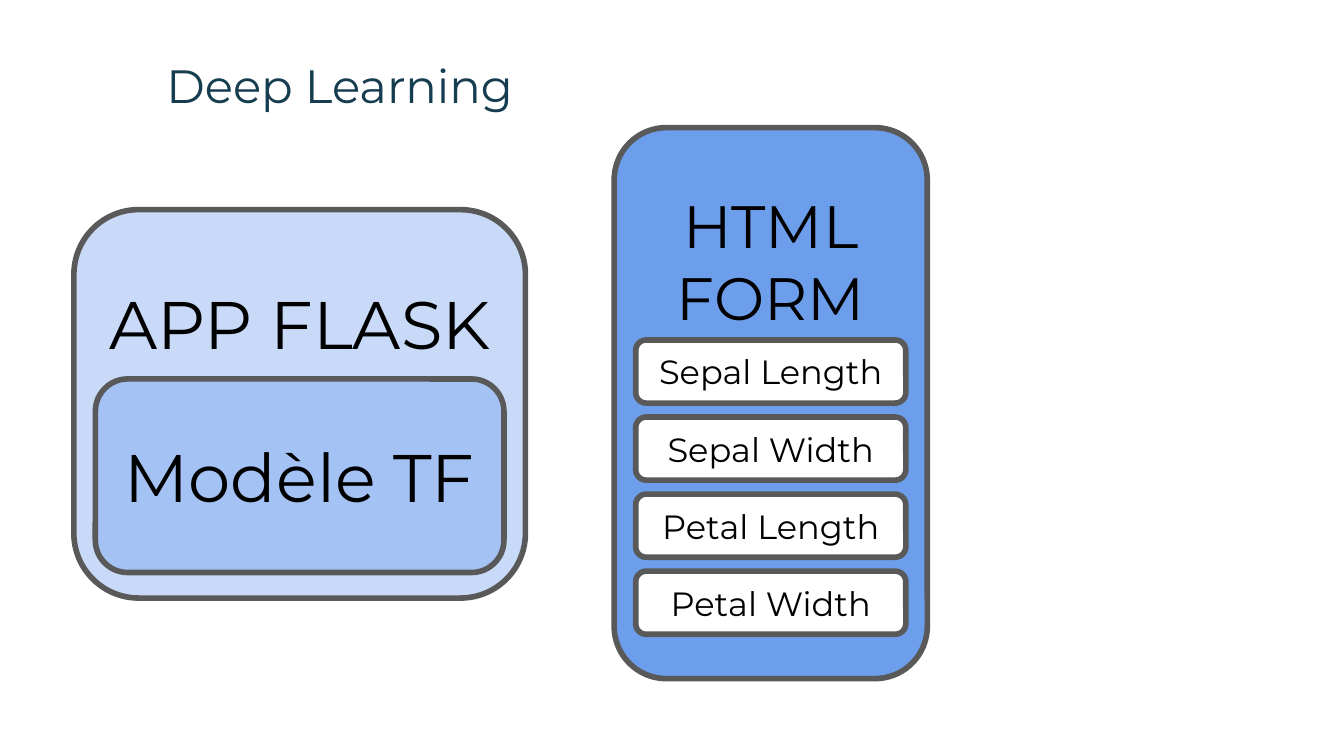
import pptx
import pptx.dml.color
import pptx.enum.shapes
import pptx.enum.text
import pptx.util
from pptx.util import Inches

RGBColor = pptx.dml.color.RGBColor
ALIGN = pptx.enum.text.PP_ALIGN
ANCHOR = pptx.enum.text.MSO_ANCHOR

NAVY = RGBColor(0x15, 0x3C, 0x4F)
BLACK = RGBColor(0x00, 0x00, 0x00)
WHITE = RGBColor(0xFF, 0xFF, 0xFF)
GREY = RGBColor(0x59, 0x59, 0x59)
PALE_BLUE = RGBColor(0xC9, 0xDA, 0xF8)
LIGHT_BLUE = RGBColor(0xA4, 0xC2, 0xF4)
BLUE = RGBColor(0x6D, 0x9E, 0xEB)

SLIDE_WIDTH = 10
SLIDE_HEIGHT = SLIDE_WIDTH * 9 / 16

FIELDS = ["Sepal Length", "Sepal Width", "Petal Length", "Petal Width"]
FIRST_FIELD_TOP, LAST_FIELD_TOP = 2.53, 4.25


def write_text(tf, text, *, font, size, color=BLACK, align=ALIGN.CENTER,
               anchor=ANCHOR.MIDDLE, top_inset=0.1):
    """Fill a text frame, one paragraph per line of text."""
    tf.word_wrap = True
    tf.vertical_anchor = anchor
    tf.margin_left = tf.margin_right = tf.margin_bottom = Inches(0.1)
    tf.margin_top = Inches(top_inset)
    for i, line in enumerate(text.split("\n")):
        p = tf.paragraphs[0] if i == 0 else tf.add_paragraph()
        p.alignment = align
        r = p.add_run()
        r.text = line
        r.font.name = font
        r.font.size = pptx.util.Pt(size)
        r.font.color.rgb = color


class Diagram:
    font = "Montserrat"
    line_color = GREY
    line_width = pptx.util.Pt(3)
    corner = 0.167

    def __init__(self, s):
        self.s = s

    def title(self, text, x, y, w, h):
        sp = self.s.shapes.add_textbox(Inches(x), Inches(y), Inches(w), Inches(h))
        write_text(sp.text_frame, text, font=self.font, size=25, color=NAVY,
                   align=ALIGN.LEFT, anchor=ANCHOR.TOP)

    def box(self, text, x, y, w, h, fill, size, **text_format):
        sp = self.s.shapes.add_shape(
            pptx.enum.shapes.MSO_SHAPE.ROUNDED_RECTANGLE,
            Inches(x), Inches(y), Inches(w), Inches(h))
        sp.adjustments[0] = self.corner
        sp.shadow.inherit = False
        sp.fill.solid()
        sp.fill.fore_color.rgb = fill
        sp.line.color.rgb = self.line_color
        sp.line.width = self.line_width
        write_text(sp.text_frame, text, font=self.font, size=size, **text_format)


def main():
    prs = pptx.Presentation()
    prs.slide_width = Inches(SLIDE_WIDTH)
    prs.slide_height = Inches(SLIDE_HEIGHT)
    d = Diagram(prs.slides.add_slide(prs.slide_layouts[6]))

    d.title("Deep Learning", 1.14, 0.32, 8.52, 0.63)
    d.box("APP FLASK", 0.55, 1.56, 3.36, 2.89, PALE_BLUE, 36,
          anchor=ANCHOR.TOP, top_inset=0.4)
    d.box("Modèle TF", 0.71, 2.82, 3.04, 1.44, LIGHT_BLUE, 36)
    d.box("HTML\nFORM", 4.57, 0.95, 2.33, 4.1, BLUE, 32,
          anchor=ANCHOR.TOP, top_inset=0.34)

    pitch = (LAST_FIELD_TOP - FIRST_FIELD_TOP) / (len(FIELDS) - 1)
    for i, field in enumerate(FIELDS):
        d.box(field, 4.73, FIRST_FIELD_TOP + i * pitch, 2.01, 0.47, WHITE, 18)

    prs.save("out.pptx")


if __name__ == "__main__":
    main()
